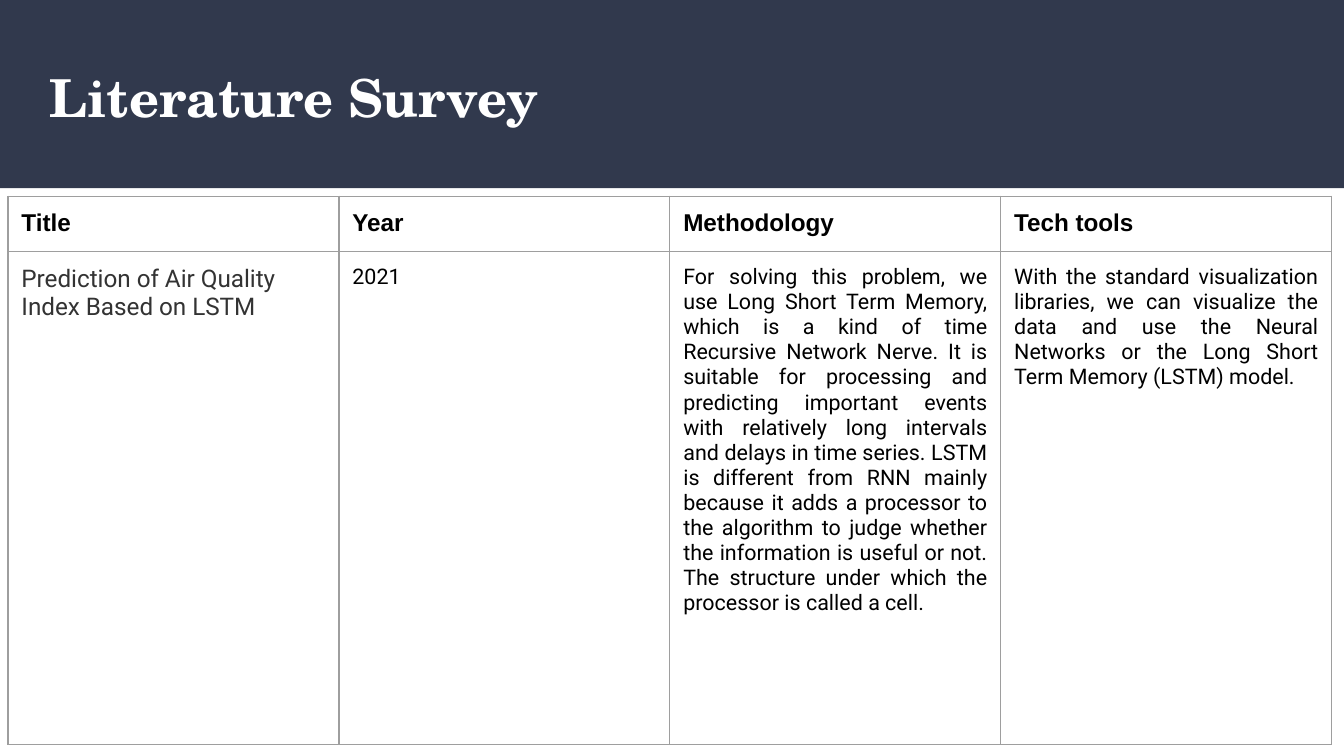
from lxml.etree import SubElement
from pptx import Presentation
from pptx.dml.color import RGBColor
from pptx.enum.shapes import MSO_SHAPE as Shape
from pptx.enum.text import MSO_ANCHOR as Anchor, PP_ALIGN as Align
from pptx.oxml.ns import qn
from pptx.util import Inches, Pt

HEADERS = ["Title", "Year", "Methodology", "Tech tools"]
PAPER = "Prediction of Air Quality Index Based on LSTM"
YEAR = "2021"
METHODOLOGY = (
    "For solving this problem, we use Long Short Term Memory, which is a kind of time "
    "Recursive Network Nerve. It is suitable for processing and predicting important events "
    "with relatively long intervals and delays in time series. LSTM is different from RNN "
    "mainly because it adds a processor to the algorithm to judge whether the information is "
    "useful or not. The structure under which the processor is called a cell."
)
TOOLS = (
    "With the standard visualization libraries, we can visualize the data and use the Neural "
    "Networks or the Long Short Term Memory (LSTM) model."
)


def rgb(value):
    return RGBColor.from_string(value)


class SlideBuilder:
    NAVY, WHITE, BLACK, GRAY, RULE = "31394D", "FFFFFF", "000000", "333333", "9E9E9E"
    TITLE_FONT, HEAD_FONT, BODY_FONT = "TeX Gyre Schola", "Arial", "Roboto"
    INSET = Inches(0.1)

    def __init__(self, prs):
        self.slide = prs.slides.add_slide(prs.slide_layouts[5])

    def format_text(self, p, font, size, color, bold=False, align=Align.LEFT):
        p.alignment = align
        for r in p.runs:
            r.font.name, r.font.size, r.font.bold = font, Pt(size), bold
            r.font.color.rgb = rgb(color)

    def set_insets(self, box):
        box.margin_left = box.margin_right = self.INSET
        box.margin_top = box.margin_bottom = self.INSET

    def band(self, width, height):
        sp = self.slide.shapes.add_shape(Shape.RECTANGLE, 0, 0, width, height)
        sp.shadow.inherit = False
        sp.fill.solid()
        sp.fill.fore_color.rgb = rgb(self.NAVY)
        sp.line.fill.background()
        # Behind the title placeholder
        self.slide.shapes.element.insert(2, sp.element)

    def title(self, text, left, top, width, height):
        sp = self.slide.shapes.title
        sp.left, sp.top, sp.width, sp.height = left, top, width, height
        tf = sp.text_frame
        tf.text = text
        tf.word_wrap = True
        tf.vertical_anchor = Anchor.MIDDLE
        self.set_insets(tf)
        self.format_text(tf.paragraphs[0], self.TITLE_FONT, 28, self.WHITE, bold=True)

    def cell_borders(self, cell):
        tc_pr = cell._tc.get_or_add_tcPr()
        for side in ("lnL", "lnR", "lnT", "lnB"):
            ln = SubElement(tc_pr, qn(f"a:{side}"), w=str(Pt(0.75)))
            fill = SubElement(ln, qn("a:solidFill"))
            SubElement(fill, qn("a:srgbClr"), val=self.RULE)

    def cell(self, cell, text, **style):
        cell.text = text
        self.set_insets(cell)
        cell.vertical_anchor = Anchor.TOP
        self.cell_borders(cell)
        cell.fill.background()
        self.format_text(cell.text_frame.paragraphs[0], **style)

    def table(self, rows, styles, left, top, width, row_heights):
        cols = len(rows[0])
        table = self.slide.shapes.add_table(
            len(rows), cols, left, top, width, sum(row_heights)).table
        for col in table.columns:
            col.width = width // cols
        for row, height in zip(table.rows, row_heights):
            row.height = height
        for row, texts, row_styles in zip(table.rows, rows, styles):
            for cell, text, style in zip(row.cells, texts, row_styles):
                self.cell(cell, text, **style)


def main():
    prs = Presentation()
    prs.slide_width = Inches(10)
    prs.slide_height = prs.slide_width * 9 // 16

    s = SlideBuilder(prs)
    s.band(prs.slide_width, Inches(1.4))
    s.title("Literature Survey", Inches(0.27), Inches(0.38), Inches(9.32), Inches(0.68))

    head = dict(font=s.HEAD_FONT, size=13, color=s.BLACK, bold=True)
    paper = dict(font=s.BODY_FONT, size=13, color=s.GRAY)
    body = dict(font=s.BODY_FONT, size=11.5, color=s.BLACK)
    justified = dict(body, align=Align.JUSTIFY)
    s.table(
        [HEADERS, [PAPER, YEAR, METHODOLOGY, TOOLS]],
        [[head] * len(HEADERS), [paper, body, justified, justified]],
        Inches(0.06), Inches(1.46), Inches(9.85), [Inches(0.41), Inches(3.67)],
    )
    prs.save("out.pptx")


if __name__ == "__main__":
    main()
